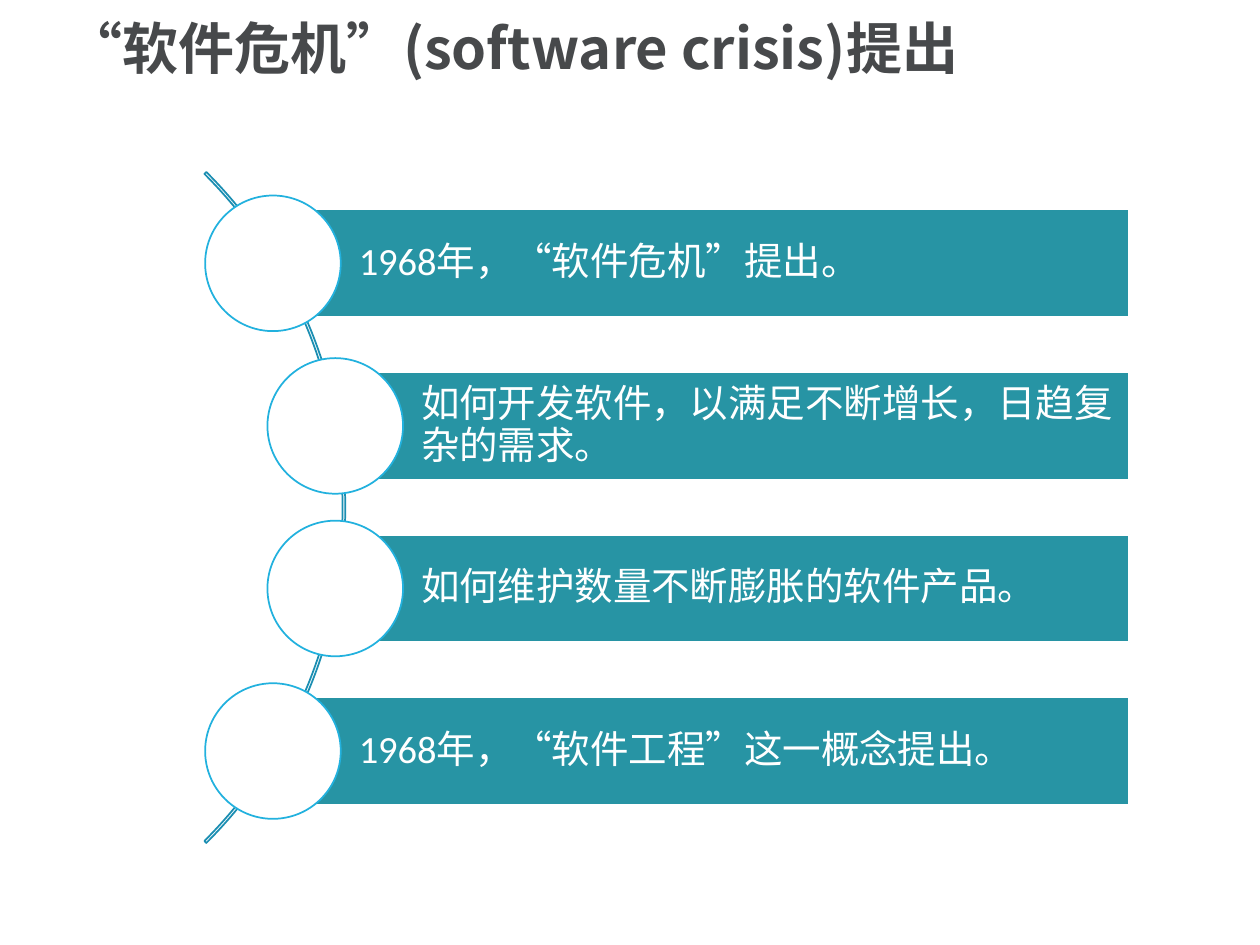
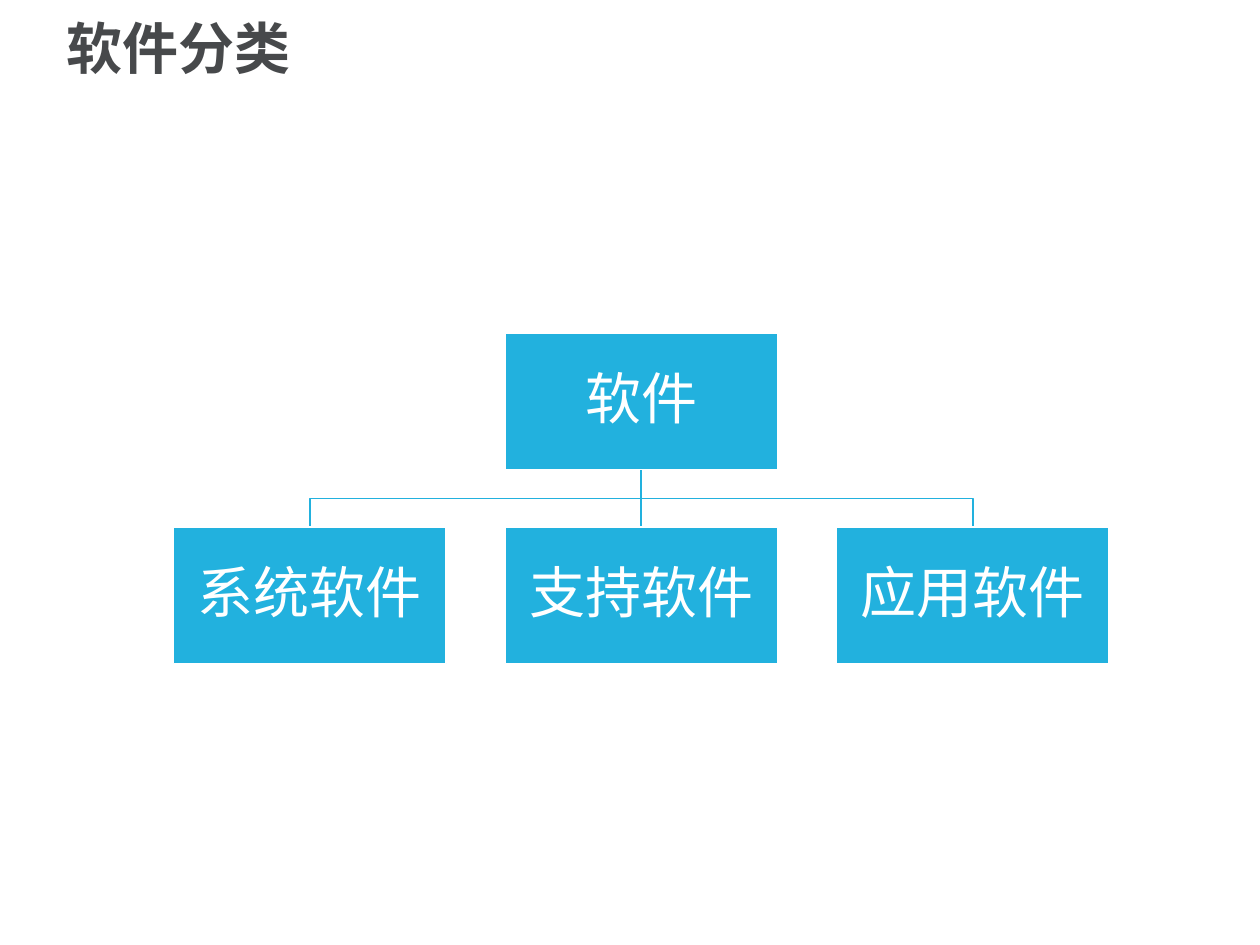
from lxml.etree import SubElement
from pptx import Presentation
from pptx.dml.color import RGBColor
from pptx.enum.lang import MSO_LANGUAGE_ID
from pptx.enum.shapes import MSO_CONNECTOR, MSO_SHAPE
from pptx.enum.text import MSO_ANCHOR, PP_ALIGN
from pptx.oxml.ns import qn
from pptx.util import Pt

WHITE = RGBColor(0xFF, 0xFF, 0xFF)
GREY = RGBColor(0x47, 0x49, 0x4B)
TEAL = RGBColor(0x27, 0x94, 0xA4)
BLUE = RGBColor(0x22, 0xB1, 0xDE)
DEEP = RGBColor(0x1B, 0x8E, 0xB2)
HAN = "Noto Sans CJK SC"


def write(shape, text, size, color, face=HAN, bold=False, align=PP_ALIGN.LEFT,
          pads=(7.2, 3.6, 7.2, 3.6)):
    """Put one styled paragraph in a shape; pads are left, top, right, bottom."""
    frame = shape.text_frame
    frame.word_wrap = True
    frame.vertical_anchor = MSO_ANCHOR.MIDDLE
    frame.margin_left, frame.margin_top, frame.margin_right, frame.margin_bottom = map(Pt, pads)
    frame.text = text
    para = frame.paragraphs[0]
    para.alignment = align
    para.line_spacing = 0.9
    font = para.runs[0].font
    font.size, font.bold, font.name = Pt(size), bold, face
    font.color.rgb = color
    font.language_id = MSO_LANGUAGE_ID.SIMPLIFIED_CHINESE
    SubElement(para.runs[0]._r.get_or_add_rPr(), qn("a:ea")).set("typeface", HAN)


def draw(slide, kind, left, top, width, height, fill, line):
    shape = slide.shapes.add_shape(kind, Pt(left), Pt(top), Pt(width), Pt(height))
    shape.shadow.inherit = False
    if fill is None:
        shape.fill.background()
    else:
        shape.fill.solid()
        shape.fill.fore_color.rgb = fill
    shape.line.color.rgb = line
    shape.line.width = Pt(1)
    return shape


deck = Presentation()
deck.slide_width, deck.slide_height = Pt(720), Pt(540)

slides = []
for title in ("“软件危机”(software crisis)提出", "软件分类"):
    slide = deck.slides.add_slide(deck.slide_layouts[6])
    box = slide.shapes.add_textbox(Pt(31), Pt(4.3), Pt(651.6), Pt(50.4))
    write(box, title, 32, GREY, bold=True)
    slides.append(slide)
crisis, kinds = slides

# Crisis: bars with discs strung along an arc
arc = draw(crisis, MSO_SHAPE.BLOCK_ARC, -344.9, 18.9, 542.2, 542.2, None, DEEP)
for i, turn in enumerate((189, 27, 0.00287)):
    arc.adjustments[i] = turn

BAR, DISC, STEP, RIGHT = 61.5, 77.5, 92.9, 645.3
points = [
    (156, "1968年，“软件危机”提出。"),
    (191.6, "如何开发软件，以满足不断增长，日趋复杂的需求。"),
    (191.6, "如何维护数量不断膨胀的软件产品。"),
    (156, "1968年，“软件工程”这一概念提出。"),
]
for i, (left, text) in enumerate(points):
    mid = 150.5 + i * STEP
    bar = draw(crisis, MSO_SHAPE.RECTANGLE, left, mid - BAR / 2, RIGHT - left, BAR, TEAL, WHITE)
    write(bar, text, 22, WHITE, face="Calibri", pads=(49, 4.3, 4.3, 4.3))
    draw(crisis, MSO_SHAPE.OVAL, left - DISC / 2, mid - DISC / 2, DISC, DISC, WHITE, BLUE)

# Kinds: a tree of one root and three leaves
WIDE, HIGH, PITCH = 156, 78, 189.4
MID, TOP, LOW = 366.5, 190.4, 301.2
base = TOP + HIGH
fork = (base + LOW) / 2


for side in (1, -1):
    end = MID + side * PITCH
    path = kinds.shapes.build_freeform(Pt(MID), Pt(base))
    path.add_line_segments([(Pt(x), Pt(y)) for x, y in ((MID, fork), (end, fork), (end, LOW))],
                           close=False)
    branch = path.convert_to_shape()
    branch.shadow.inherit = False
    branch.fill.background()
    branch.line.color.rgb = BLUE
    branch.line.width = Pt(1)

stem = kinds.shapes.add_connector(MSO_CONNECTOR.STRAIGHT, Pt(MID), Pt(base), Pt(MID), Pt(LOW))
stem.line.color.rgb = BLUE
stem.line.width = Pt(1)
SubElement(stem._element.spPr, qn("a:effectLst"))

nodes = {}
for text, col, top in (("软件", 0, TOP), ("系统软件", -1, LOW),
                       ("支持软件", 0, LOW), ("应用软件", 1, LOW)):
    node = draw(kinds, MSO_SHAPE.RECTANGLE, MID + col * PITCH - WIDE / 2, top, WIDE, HIGH, BLUE, WHITE)
    write(node, text, 32, WHITE, align=PP_ALIGN.CENTER, pads=(1.6,) * 4)
    nodes[text] = node
stem.begin_connect(nodes["软件"], 2)
stem.end_connect(nodes["支持软件"], 0)

deck.save("out.pptx")
